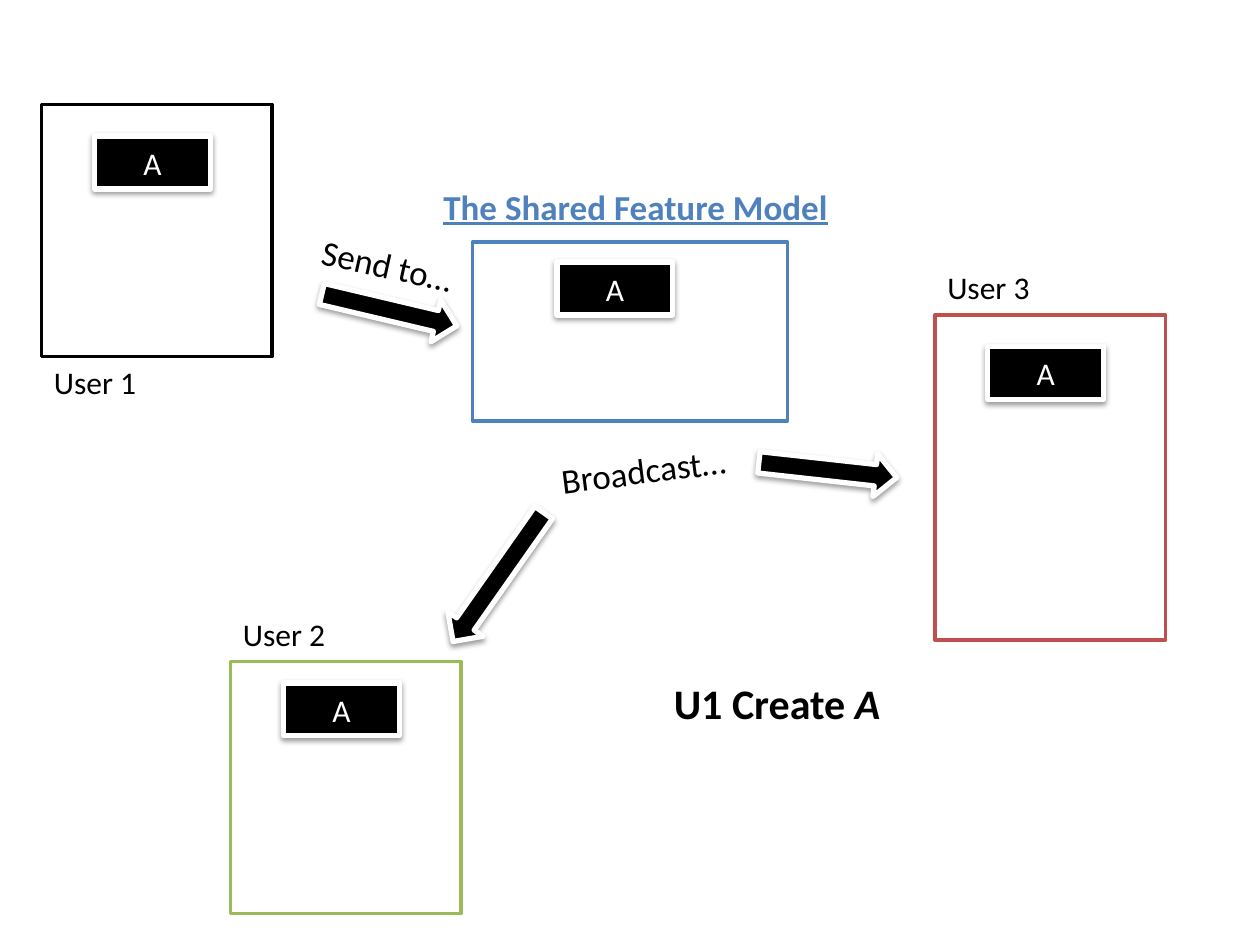
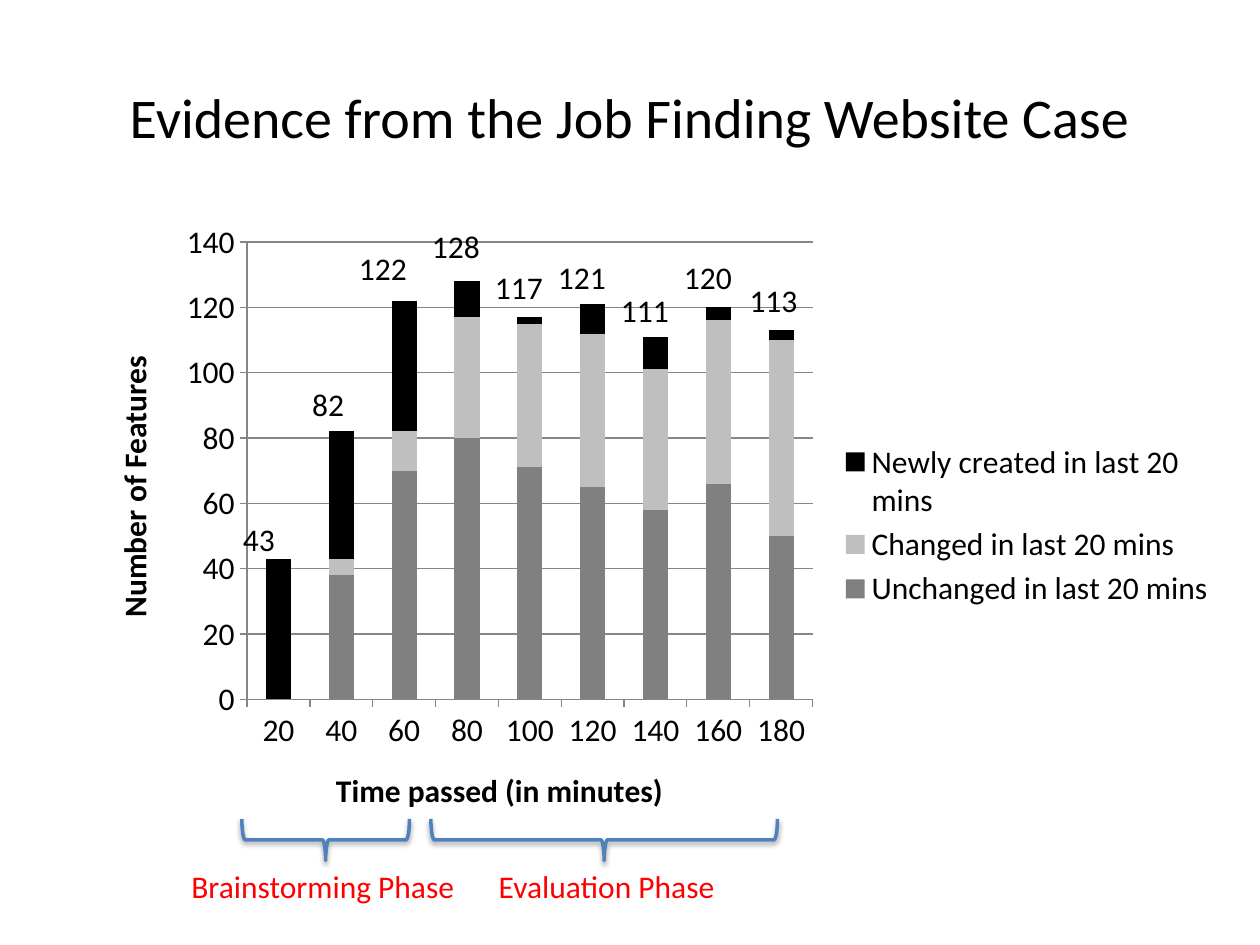
import pptx
import pptx.util
import pptx.chart.data
import pptx.dml.color
import pptx.enum.chart
import pptx.enum.shapes
import pptx.enum.text
import pptx.oxml
import pptx.oxml.ns

Inches, Pt = pptx.util.Inches, pptx.util.Pt
SHAPE = pptx.enum.shapes.MSO_SHAPE
ALIGN = pptx.enum.text.PP_ALIGN
ANCHOR = pptx.enum.text.MSO_ANCHOR

FONT = "Calibri"
BLACK, WHITE, GRAY = "000000", "FFFFFF", "868686"
BLUE, RED, GREEN, ALERT = "4F81BD", "C0504D", "9BBB59", "FF0000"

SHADOW = (
    f'<a:effectLst {pptx.oxml.ns.nsdecls("a")}>'
    '<a:outerShdw blurRad="40000" dist="20000" dir="5400000" rotWithShape="0">'
    '<a:srgbClr val="000000"><a:alpha val="38000"/></a:srgbClr>'
    "</a:outerShdw></a:effectLst>"
)


def rgb(color):
    return pptx.dml.color.RGBColor.from_string(color)


class Deck:
    def __init__(self):
        self.prs = pptx.Presentation()
        self.prs.slide_width, self.prs.slide_height = Inches(10), Inches(7.5)
        self.s = None

    def slide(self, title=None):
        self.s = self.prs.slides.add_slide(self.prs.slide_layouts[5 if title else 6])
        if title:
            sp = self.s.shapes.title
            sp.left, sp.top = Inches(0.5), Inches(0.3)
            sp.width, sp.height = Inches(9), Inches(1.25)
            sp.text_frame.vertical_anchor = ANCHOR.MIDDLE
            p = sp.text_frame.paragraphs[0]
            p.alignment = ALIGN.CENTER
            self.run(p, title, 32)

    def font(self, font, size, color=BLACK, bold=None, italic=None, underline=None):
        font.name, font.size = FONT, Pt(size)
        font.color.rgb = rgb(color)
        font.bold, font.italic, font.underline = bold, italic, underline

    def run(self, p, text, size=18, color=BLACK, **style):
        r = p.add_run()
        r.text = text
        self.font(r.font, size, color, **style)

    def shape(self, kind, x, y, w, h, fill, line, weight, rot=0, shadow=False):
        sp = self.s.shapes.add_shape(kind, Inches(x), Inches(y), Inches(w), Inches(h))
        sp.rotation = rot
        if fill:
            sp.fill.solid()
            sp.fill.fore_color.rgb = rgb(fill)
        else:
            sp.fill.background()
        sp.line.color.rgb = rgb(line)
        sp.line.width = Pt(weight)
        sp.shadow.inherit = False
        if shadow:
            props = sp._element.spPr
            props.replace(props.find(pptx.oxml.ns.qn("a:effectLst")),
                          pptx.oxml.parse_xml(SHADOW))
        return sp

    def text(self, x, y, w, h, text, size=18, color=BLACK, rot=0, wrap=False, **style):
        sp = self.s.shapes.add_textbox(Inches(x), Inches(y), Inches(w), Inches(h))
        sp.rotation = rot
        tf = sp.text_frame
        tf.word_wrap = wrap
        tf.auto_size = pptx.enum.text.MSO_AUTO_SIZE.SHAPE_TO_FIT_TEXT
        p = tf.paragraphs[0]
        self.run(p, text, size, color, **style)
        return p

    def frame(self, x, y, w, h, color):
        self.shape(SHAPE.RECTANGLE, x, y, w, h, WHITE, color, 2)

    def feature(self, x, y, name):
        sp = self.shape(SHAPE.RECTANGLE, x, y, 0.92, 0.42, BLACK, WHITE, 3, shadow=True)
        sp.text_frame.vertical_anchor = ANCHOR.MIDDLE
        p = sp.text_frame.paragraphs[0]
        p.alignment = ALIGN.CENTER
        self.run(p, name, color=WHITE)

    def arrow(self, x, y, w, rot):
        self.shape(SHAPE.RIGHT_ARROW, x, y, w, 0.34, BLACK, WHITE, 3, rot, True)

    def brace(self, x, y, h):
        self.shape(SHAPE.LEFT_BRACE, x, y, 0.33, h, None, BLUE, 2, 270, True)

    def axis(self, axis, title):
        axis.major_tick_mark = pptx.enum.chart.XL_TICK_MARK.OUTSIDE
        axis.format.line.color.rgb = rgb(GRAY)
        self.font(axis.tick_labels.font, 18)
        self.run(axis.axis_title.text_frame.paragraphs[0], title, bold=True)

    def stacked_chart(self, x, y, w, h, cats, series, cat_title, val_title):
        data = pptx.chart.data.CategoryChartData()
        data.categories = cats
        for name, values, _ in series:
            data.add_series(name, values)
        chart = self.s.shapes.add_chart(
            pptx.enum.chart.XL_CHART_TYPE.COLUMN_STACKED,
            Inches(x), Inches(y), Inches(w), Inches(h), data).chart
        self.font(chart.font, 18)
        chart.has_title = False
        plot = chart.plots[0]
        plot.gap_width, plot.overlap, plot.vary_by_categories = 150, 100, False
        for ser, (_, _, color) in zip(plot.series, series):
            ser.format.fill.solid()
            ser.format.fill.fore_color.rgb = rgb(color)
        self.axis(chart.category_axis, cat_title)
        self.axis(chart.value_axis, val_title)
        chart.value_axis.has_major_gridlines = True
        chart.value_axis.major_gridlines.format.line.color.rgb = rgb(GRAY)
        chart.has_legend = True
        chart.legend.position = pptx.enum.chart.XL_LEGEND_POSITION.RIGHT
        chart.legend.include_in_layout = False
        self.font(chart.legend.font, 18)


def shared_model_slide(deck):
    deck.slide()

    # Shared model
    deck.frame(3.75, 1.92, 2.5, 1.42, BLUE)
    deck.feature(4.42, 2.08, "A")
    deck.text(3.42, 1.42, 3.28, 0.44, "The Shared Feature Model", 20, BLUE,
              bold=True, underline=True)

    # User workspaces: name, left, top, height, colour, label top, feature top
    users = [
        ("User 1", 0.33, 0.83, 2, BLACK, 2.83, 1.08),
        ("User 2", 1.83, 5.25, 2, GREEN, 4.83, 5.42),
        ("User 3", 7.42, 2.5, 2.58, RED, 2.08, 2.75),
    ]
    for name, x, y, h, color, label_y, feature_y in users:
        deck.frame(x, y, 1.83, h, color)
        deck.text(x, label_y, 0.86, 0.4, name)
        deck.feature(x + 0.42, feature_y, "A")

    # Message flow
    for x, y, w, rot in [(2.54, 2.29, 1.1, 13.3), (3.33, 4.41, 1.25, 125.1),
                         (6.02, 3.56, 1.1, 6.3)]:
        deck.arrow(x, y, w, rot)
    deck.text(4.35, 3.47, 2.22, 0.44, "Broadcast…", 20, rot=352.8, wrap=True)
    deck.text(2.44, 1.99, 2.22, 0.44, "Send to…", 20, rot=12.5, wrap=True)

    # Operation
    p = deck.text(5.25, 5.33, 1.86, 0.5, "U1 Create ", 24, bold=True)
    deck.run(p, "A", 24, bold=True, italic=True)


def evidence_slide(deck):
    deck.slide("Evidence from the Job Finding Website Case")

    # Feature counts over time
    series = [
        ("Unchanged in last 20 mins", [0, 38, 70, 80, 71, 65, 58, 66, 50], "808080"),
        ("Changed in last 20 mins", [0, 5, 12, 37, 44, 47, 43, 50, 60], "BFBFBF"),
        ("Newly created in last 20 mins", [43, 39, 40, 11, 2, 9, 10, 4, 3], BLACK),
    ]
    deck.stacked_chart(0.67, 1.67, 9.08, 5, range(20, 181, 20), series,
                       "Time passed (in minutes)", "Number of Features")

    # Column totals
    totals = [sum(column) for column in zip(*(values for _, values, _ in series))]
    spots = [(1.83, 4.08), (2.38, 3.01), (2.75, 1.93), (3.33, 1.75), (3.83, 2.08),
             (4.33, 2), (4.83, 2.26), (5.33, 2), (5.85, 2.18)]
    for total, (x, y) in zip(totals, spots):
        deck.text(x, y, 0.46 if total < 100 else 0.59, 0.4, str(total))

    # Phases
    deck.brace(2.42, 6, 1.33)
    deck.text(1.42, 6.83, 2.31, 0.4, "Brainstorming Phase", color=ALERT)
    deck.brace(4.63, 5.29, 2.75)
    deck.text(3.86, 6.83, 1.93, 0.4, "Evaluation Phase", color=ALERT)


def main():
    deck = Deck()
    shared_model_slide(deck)
    evidence_slide(deck)
    deck.prs.save("out.pptx")


if __name__ == "__main__":
    main()
